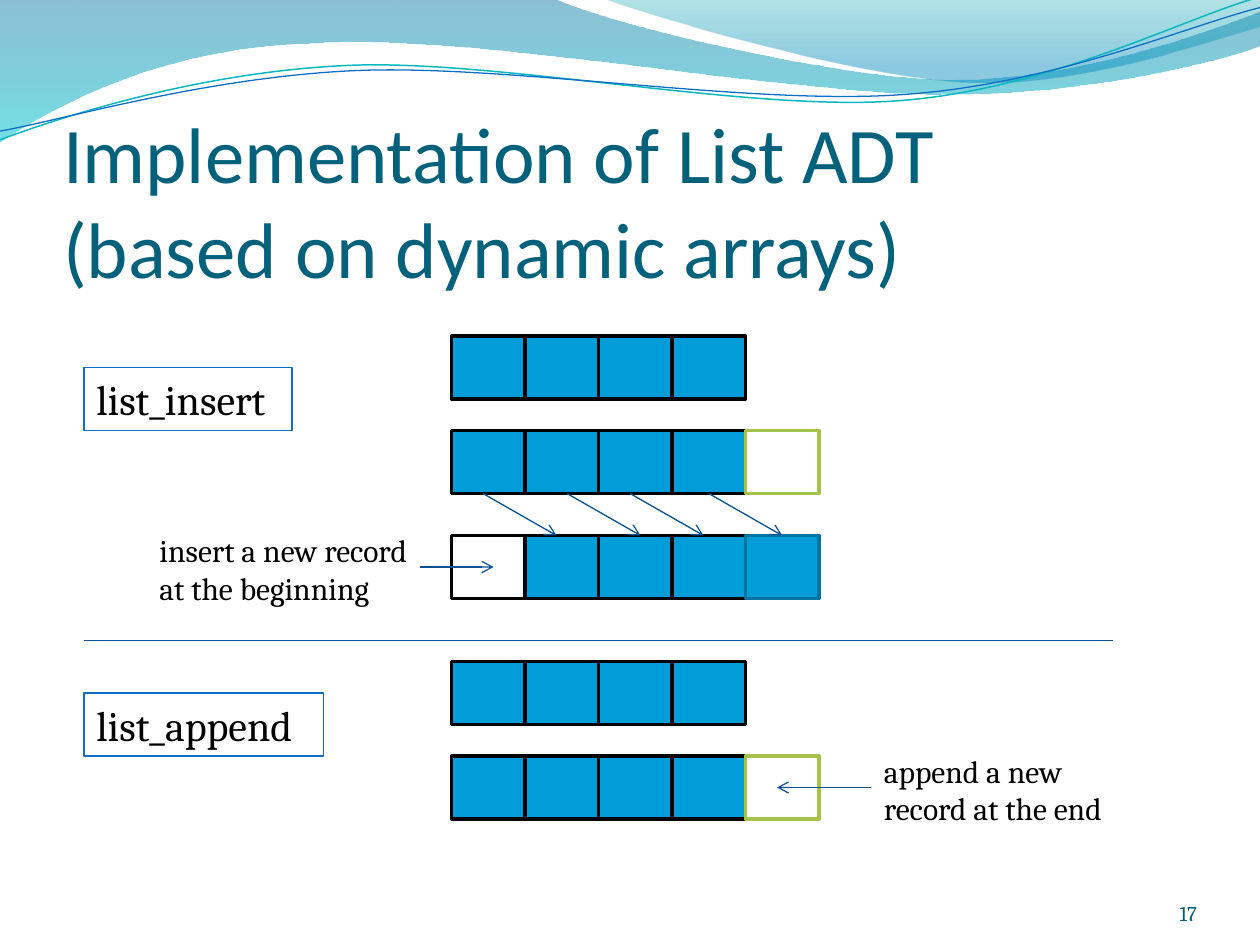
from dataclasses import dataclass

from lxml.etree import SubElement
from pptx import Presentation
from pptx.dml.color import RGBColor
from pptx.enum.shapes import MSO_CONNECTOR, MSO_SHAPE
from pptx.enum.text import MSO_ANCHOR, MSO_AUTO_SIZE, PP_ALIGN
from pptx.oxml.ns import qn
from pptx.util import Pt


@dataclass(frozen=True)
class Theme:
    """Hold the colours, fonts and type sizes of the slide."""
    title: str = "04617B"
    number: str = "045D75"
    text: str = "000000"
    cell: str = "009DD9"
    empty: str = "FFFFFF"
    cell_line: str = "000000"
    new_line: str = "A5C249"
    moved_line: str = "0074A1"
    label_line: str = "0F6FC6"
    arrow: str = "095295"
    wave_line: str = "0AB8BF"
    upper_wave: tuple = ((0, "0074A1", 45), (1, "00C6CF", 55))
    lower_wave: tuple = ((0, "00A1A9", 30), (0.8, "008BBF", 45))
    heading_font: str = "Calibri"
    body_font: str = "Cambria"
    title_size: int = 45
    label_size: int = 24
    caption_size: int = 18
    number_size: int = 12


@dataclass(frozen=True)
class Box:
    """Describe a rectangle in points."""
    left: float
    top: float
    width: float
    height: float

    def inner(self, left, top, width, height):
        """Return a box placed relative to this one."""
        return Box(self.left + left, self.top + top, width, height)

    def place(self):
        """Return the four lengths that python-pptx expects."""
        return Pt(self.left), Pt(self.top), Pt(self.width), Pt(self.height)


THEME = Theme()
CELL_WIDTH, CELL_HEIGHT = 42, 36
FULL = (THEME.cell, THEME.cell_line)
EMPTY = (THEME.empty, THEME.cell_line)
NEW = (THEME.empty, THEME.new_line)
MOVED = (THEME.cell, THEME.moved_line)
WAVE_FILLS = (
    (THEME.upper_wave, (0, 0), (
        (316.8, -0.7),
        (342.7, 12.2, 478.1, 45.4, 545.8, 45.4),
        (614.2, 45.4, 689.8, 18.7, 720, 6.5),
        (720.7, 25.9),
        (707.8, 31.7, 626.4, 54.7, 537.1, 54),
        (447.8, 54, 275, 20.2, 185, 24.5),
        (92.9, 25.9, 33.1, 59.8, -0.7, 81.4))),
    (THEME.lower_wave, (344.9, -0.7), (
        (366.5, 7.9, 491, 44.6, 553.7, 46.8),
        (616.3, 49.7, 691.9, 23, 720, 15.1),
        (720, 0))),
)
WAVE_LINES = (
    (THEME.wave_line, 0.85, (0, 79.9), (
        (34.6, 67, 113.8, 41, 199.4, 37.4),
        (284.4, 33.8, 427, 64.1, 513.4, 57.6),
        (599.8, 51.1, 675.4, 10.8, 718.6, -1.4))),
    (THEME.label_line, 0.75, (0, 74.9), (
        (33.8, 69.1, 118.1, 43.9, 203.8, 40.3),
        (290.2, 36.7, 429.8, 60.5, 516.2, 54),
        (601.9, 48.2, 677.5, 15.1, 720, 4.3))),
)


def apply_format(target, values):
    """Set each named attribute of the target."""
    for name, value in values.items():
        setattr(target, name, value)


def set_line(line, color, width):
    """Give a line its colour and width."""
    line.color.rgb = RGBColor.from_string(color)
    line.width = Pt(width)


def set_text(shape, text, size, color, font=THEME.body_font, align=PP_ALIGN.LEFT, **frame_values):
    """Fill a shape with evenly formatted text."""
    frame = shape.text_frame
    apply_format(frame, {"word_wrap": True, **frame_values})
    frame.text = text
    for paragraph in frame.paragraphs:
        paragraph.alignment = align
        for run in paragraph.runs:
            apply_format(run.font, {"name": font, "size": Pt(size)})
            run.font.color.rgb = RGBColor.from_string(color)


def add_curve(slide, box, start, segments, close):
    """Draw an outline of lines and cubic curves relative to the box."""
    corners = [(Pt(box.left + x), Pt(box.top + y))
               for x, y in (start, *(segment[-2:] for segment in segments))]
    builder = slide.shapes.build_freeform(*corners[0])
    builder.add_line_segments(corners[1:], close=close)
    shape = builder.convert_to_shape()
    shape.shadow.inherit = False
    for element, segment in zip(list(shape._element.iter(qn("a:lnTo"))), segments):
        if len(segment) == 6:
            element.clear()
            element.tag = qn("a:cubicBezTo")
            for x, y in zip(segment[::2], segment[1::2]):
                SubElement(element, qn("a:pt"), x=str(Pt(box.left + x) - shape.left),
                           y=str(Pt(box.top + y) - shape.top))
    return shape


def add_waves(slide, box):
    """Draw the wave band across the top of the box."""
    for stops, start, segments in WAVE_FILLS:
        shape = add_curve(slide, box, start, segments, True)
        shape.line.fill.background()
        shape.fill.gradient()
        shape.fill.gradient_angle = 270
        for stop, (position, color, _) in zip(shape.fill.gradient_stops, stops):
            stop.position = position
            stop.color.rgb = RGBColor.from_string(color)
        for element, (_, _, opacity) in zip(shape._element.iter(qn("a:srgbClr")), stops):
            SubElement(element, qn("a:alpha"), val=str(opacity * 1000))
    for color, width, start, segments in WAVE_LINES:
        shape = add_curve(slide, box, start, segments, False)
        shape.fill.background()
        set_line(shape.line, color, width)


def add_title(slide, box, text):
    """Place and format the title placeholder."""
    title = slide.shapes.title
    apply_format(title, dict(zip(("left", "top", "width", "height"), box.place())))
    set_text(title, text, THEME.title_size, THEME.title, THEME.heading_font,
             vertical_anchor=MSO_ANCHOR.BOTTOM, auto_size=MSO_AUTO_SIZE.NONE,
             margin_left=0, margin_top=Pt(3.6), margin_right=0, margin_bottom=0)


def add_page_number(slide, box, text):
    """Write the page number at the lower right of the box."""
    set_text(slide.shapes.add_textbox(*box.place()), text, THEME.number_size, THEME.number,
             align=PP_ALIGN.RIGHT, vertical_anchor=MSO_ANCHOR.BOTTOM,
             margin_left=0, margin_top=0, margin_right=0, margin_bottom=0)


def add_rectangle(slide, box, line_color, line_width, fill_color=None):
    """Draw a rectangle with an outline and an optional fill."""
    shape = slide.shapes.add_shape(MSO_SHAPE.RECTANGLE, *box.place())
    shape.shadow.inherit = False
    set_line(shape.line, line_color, line_width)
    if fill_color:
        shape.fill.solid()
        shape.fill.fore_color.rgb = RGBColor.from_string(fill_color)
    else:
        shape.fill.background()
    return shape


def add_line(slide, start, end, arrow=True):
    """Draw a straight line, with an open arrowhead if asked."""
    connector = slide.shapes.add_connector(
        MSO_CONNECTOR.STRAIGHT, *(Pt(value) for value in (*start, *end)))
    set_line(connector.line, THEME.arrow, 0.75)
    properties = connector._element.spPr
    if arrow:
        SubElement(properties.find(qn("a:ln")), qn("a:tailEnd"), type="arrow")
    SubElement(properties, qn("a:effectLst"))


def add_operation(slide, box, label, label_width, rows, caption, caption_box):
    """Draw a labelled list operation with its array rows and caption."""
    label_shape = add_rectangle(slide, box.inner(0, 18, label_width, 36), THEME.label_line, 0.75)
    set_text(label_shape, label, THEME.label_size, THEME.text, vertical_anchor=MSO_ANCHOR.TOP)
    for top, cells in rows:
        for column, (fill_color, line_color) in enumerate(cells):
            cell_box = box.inner(210 + column * CELL_WIDTH, top, CELL_WIDTH, CELL_HEIGHT)
            add_rectangle(slide, cell_box, line_color, 2, fill_color)
    caption_shape = slide.shapes.add_textbox(*box.inner(*caption_box).place())
    set_text(caption_shape, caption, THEME.caption_size, THEME.text)


def add_insert(slide, box):
    """Show how inserting shifts every record one cell to the right."""
    rows = ((0, [FULL] * 4), (54, [FULL] * 4 + [NEW]), (114, [EMPTY] + [FULL] * 3 + [MOVED]))
    add_operation(slide, box, "list_insert", 119, rows,
                  "insert a new record\nat the beginning", (36, 108, 162, 51))
    for offset in (228, 276, 312, 357):
        left = box.left + offset
        add_line(slide, (left, box.top + 90), (left + CELL_WIDTH, box.top + 114))
    middle = box.top + 132
    add_line(slide, (box.left + 192, middle), (box.left + 234, middle))


def add_append(slide, box):
    """Show how appending fills a new cell at the end."""
    rows = ((0, [FULL] * 4), (54, [FULL] * 4 + [NEW]))
    add_operation(slide, box, "list_append", 137, rows,
                  "append a new record at the end", (450, 48, 150.5, 51))
    middle = box.top + 72
    add_line(slide, (box.left + 450, middle), (box.left + 396, middle))


def main():
    """Build and save the slide."""
    presentation = Presentation()
    apply_format(presentation, {"slide_width": Pt(720), "slide_height": Pt(540)})
    slide = presentation.slides.add_slide(presentation.slide_layouts[5])
    add_waves(slide, Box(0, 0, 720, 82))
    add_title(slide, Box(36, 55.5, 654, 112.5),
              "Implementation of List ADT\v(based on dynamic arrays)")
    add_page_number(slide, Box(624, 500.4, 60, 28.8), "17")
    add_insert(slide, Box(48, 192, 588, 160))
    add_line(slide, (48, 366), (636, 366), arrow=False)
    add_append(slide, Box(48, 378, 588, 100))
    presentation.save("out.pptx")


if __name__ == "__main__":
    main()
